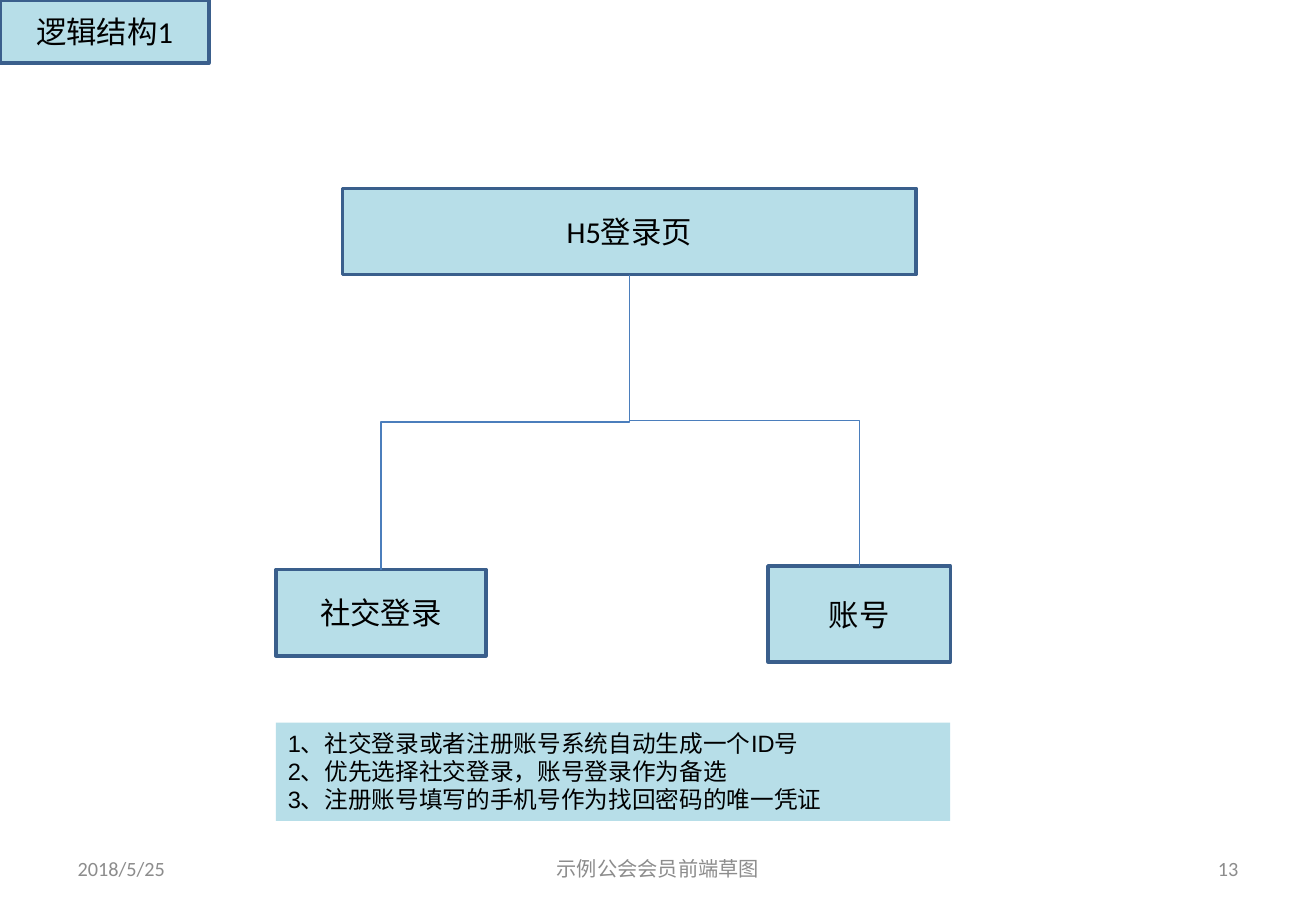
import pptx
import pptx.util
import pptx.dml.color
import pptx.enum.shapes
import pptx.enum.text
import pptx.oxml.ns
import lxml.etree

RGBColor = pptx.dml.color.RGBColor
ALIGN = pptx.enum.text.PP_ALIGN
ANCHOR = pptx.enum.text.MSO_ANCHOR

PALE_BLUE = RGBColor(0xB7, 0xDE, 0xE8)
BORDER = RGBColor(0x3A, 0x5F, 0x8C)
LINK = RGBColor(0x4B, 0x7E, 0xBC)
BLACK = RGBColor(0, 0, 0)
GREY = RGBColor(0x8C, 0x8C, 0x8C)

WIDTH = pptx.util.Inches(10.83)
HEIGHT = pptx.util.Inches(7.5)


def place(x, y, w, h):
    """Turn percentages of the slide's size into lengths."""
    return [int(share * full / 100)
            for share, full in zip((x, y, w, h), (WIDTH, HEIGHT) * 2)]


def write(sp, lines, size, color=BLACK, align=ALIGN.CENTER,
          anchor=ANCHOR.MIDDLE, font="Calibri"):
    tf = sp.text_frame
    tf.word_wrap = True
    tf.vertical_anchor = anchor
    for i, line in enumerate(lines):
        p = tf.add_paragraph() if i else tf.paragraphs[0]
        p.text = line
        p.alignment = align
        for r in p.runs:
            r.font.size = pptx.util.Pt(size)
            r.font.name = font
            r.font.color.rgb = color


def paint(sp, border=True):
    sp.fill.solid()
    sp.fill.fore_color.rgb = PALE_BLUE
    if border:
        sp.line.color.rgb = BORDER
        sp.line.width = pptx.util.Pt(2)
    else:
        sp.line.fill.background()


def add_box(s, box, border=True):
    sp = s.shapes.add_shape(pptx.enum.shapes.MSO_SHAPE.RECTANGLE, *place(*box))
    sp.shadow.inherit = False
    paint(sp, border)
    return sp


def add_node(s, text, box):
    sp = add_box(s, box)
    write(sp, [text], 18)
    return sp


def add_branch(s, parent, child):
    """Elbow from the parent's bottom, down, across and down to the child."""
    x1, y1 = parent.left + parent.width // 2, parent.top + parent.height
    x2, y2 = child.left + child.width // 2, child.top
    c = s.shapes.add_connector(pptx.enum.shapes.MSO_CONNECTOR.ELBOW,
                               x1, y1, x2, y2)
    c.begin_connect(parent, 2)
    c.end_connect(child, 0)
    # Turn the elbow so that it leaves vertically
    dx, dy = abs(x2 - x1), y2 - y1
    c.left, c.top = (x1 + x2 - dy) // 2, (y1 + y2 - dx) // 2
    c.width, c.height = dy, dx
    to_right = x2 > x1
    xfrm = c._element.spPr.find(pptx.oxml.ns.qn("a:xfrm"))
    xfrm.set("rot", str((270 if to_right else 90) * 60000))
    xfrm.set("flipH", "1" if to_right else "0")
    c.line.color.rgb = LINK
    c.line.width = pptx.util.Pt(0.75)
    lxml.etree.SubElement(c._element.spPr, pptx.oxml.ns.qn("a:effectLst"))


def add_footer(s, text, x, w, align):
    sp = s.shapes.add_textbox(*place(x, 92.67, w, 5.33))
    write(sp, [text], 12, GREY, align)


def main():
    prs = pptx.Presentation()
    prs.slide_width, prs.slide_height = WIDTH, HEIGHT
    s = prs.slides.add_slide(prs.slide_layouts[5])

    # Title
    title = s.shapes.title
    title.left, title.top, title.width, title.height = place(0, 0, 15.88, 6.93)
    paint(title)
    write(title, ["逻辑结构1"], 18)
    title.text_frame.auto_size = pptx.enum.text.MSO_AUTO_SIZE.NONE

    # Login tree
    login = add_node(s, "H5登录页", (26.04, 20.67, 43.58, 9.47))
    for text, box in (("社交登录", (20.96, 62.53, 15.97, 9.47)),
                      ("账号", (58.36, 62.13, 13.85, 10.53))):
        add_branch(s, login, add_node(s, text, box))

    # Rules
    rules = add_box(s, (20.96, 79.33, 51.25, 10.8), border=False)
    write(rules, ["1、社交登录或者注册账号系统自动生成一个ID号\n"
                  "2、优先选择社交登录，账号登录作为备选",
                  "3、注册账号填写的手机号作为找回密码的唯一凭证"],
          14, align=ALIGN.LEFT, anchor=ANCHOR.TOP, font="Arial")
    rules.text_frame.auto_size = pptx.enum.text.MSO_AUTO_SIZE.SHAPE_TO_FIT_TEXT

    # Footer
    add_footer(s, "2018/5/25", 4.99, 23.36, ALIGN.LEFT)
    add_footer(s, "示例公会会员前端草图", 34.16, 31.67, ALIGN.CENTER)
    add_footer(s, "13", 71.65, 23.36, ALIGN.RIGHT)

    prs.save("out.pptx")


if __name__ == "__main__":
    main()
